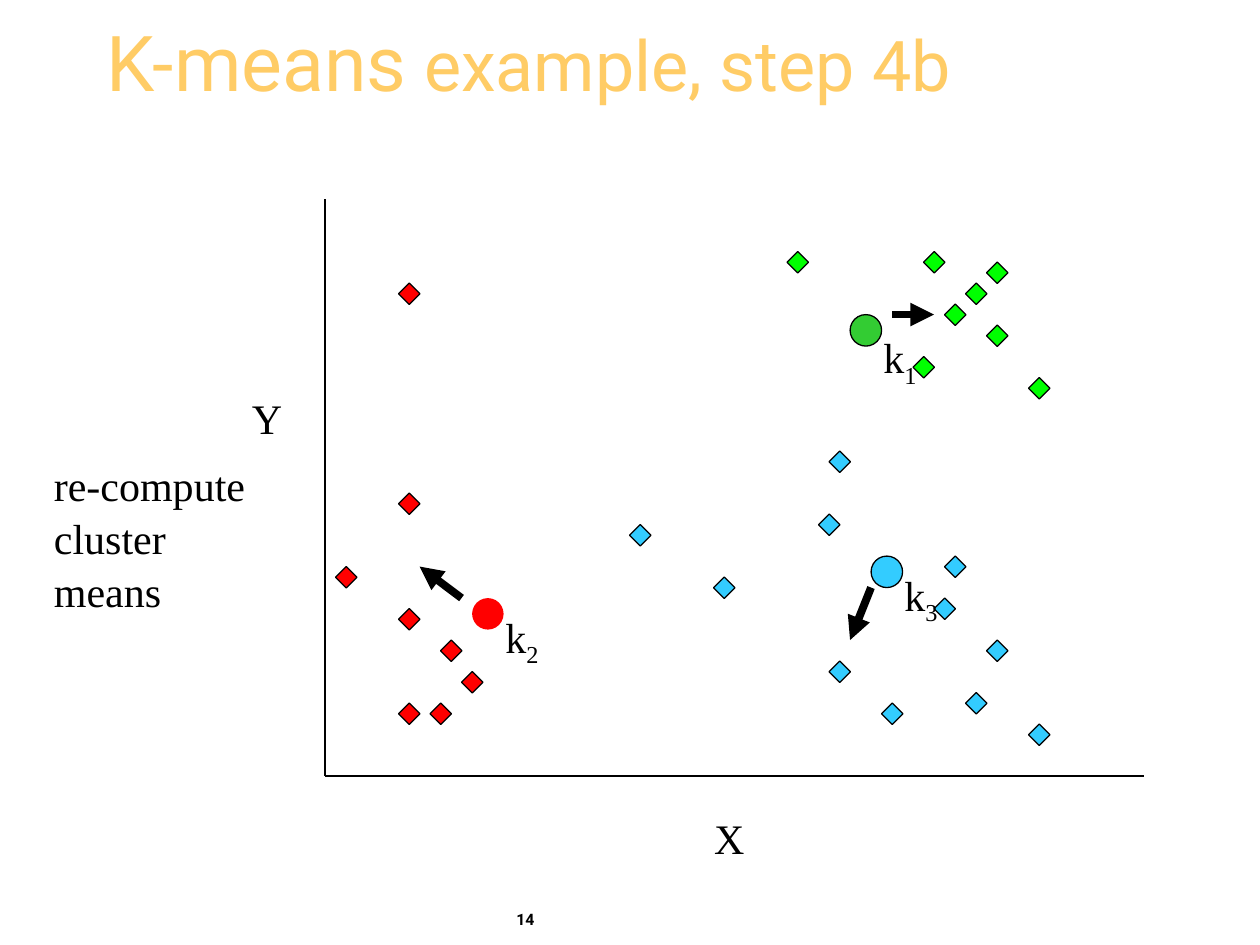
from lxml import etree
from pptx import Presentation
from pptx.dml.color import RGBColor
from pptx.enum import shapes, text
from pptx.oxml import ns
from pptx.util import Inches, Pt

COLORS = {
    "title": "FFCC66", "ink": "000000", "red": "FF0000",
    "lime": "00FF00", "green": "33CC33", "blue": "33CCFF",
}
SERIF, SANS = "Times New Roman", "Roboto"
UNIT = Inches(1) / 12

CLUSTERS = [
    dict(name="1", fill="lime", core="green", edge="ink", mean=(50, 11), high=0.56,
         move=((54, 11), (58, 11)),
         dots=[(57, 5), (63, 6), (61, 8), (59, 10),
               (63, 12), (67, 17), (44, 5), (56, 15)]),
    dict(name="2", fill="red", core="red", edge=None, mean=(14, 38), high=0.5,
         move=((13, 38), (9, 35)),
         dots=[(11, 42), (13, 45), (10, 48), (7, 39),
               (7, 8), (7, 28), (7, 48), (1, 35)]),
    dict(name="3", fill="blue", core="blue", edge="ink", mean=(52, 34), high=0.5,
         move=((52, 37), (50, 42)),
         dots=[(29, 31), (48, 24), (48, 44), (53, 48), (58, 38), (47, 30),
               (37, 36), (63, 42), (61, 47), (59, 34), (67, 50)]),
]


def tint(name):
    return RGBColor.from_string(COLORS[name])


def spot(box, cell):
    return [round(start + step * UNIT) for start, step in zip(box, cell)]


def add_text(slide, box, runs, size, face=SERIF, color="ink",
             anchor=text.MSO_ANCHOR.TOP, wrap=True):
    frame = slide.shapes.add_textbox(*box).text_frame
    frame.word_wrap = wrap
    frame.vertical_anchor = anchor
    para = frame.paragraphs[0]
    para.font.name = face
    para.font.size = Pt(size)
    para.font.color.rgb = tint(color)
    for words in runs:
        para.add_run().text = words
    return para


def add_mark(slide, kind, at, size, fill, edge):
    mark = slide.shapes.add_shape(kind, *at, size, size)
    mark.shadow.inherit = False
    mark.fill.solid()
    mark.fill.fore_color.rgb = tint(fill)
    if edge:
        mark.line.color.rgb = tint(edge)
        mark.line.width = Pt(0.75)
    else:
        mark.line.fill.background()


def add_line(slide, start, end, width, arrow=False):
    line = slide.shapes.add_connector(
        shapes.MSO_CONNECTOR.STRAIGHT, *start, *end)
    line.line.color.rgb = tint("ink")
    line.line.width = Pt(width)
    if arrow:
        tail = etree.SubElement(line.line._get_or_add_ln(), ns.qn("a:tailEnd"))
        tail.set("type", "triangle")
    etree.SubElement(line._element.spPr, ns.qn("a:effectLst"))


def add_title(slide, box):
    para = add_text(slide, box, ["K-means", " example, step 4b"], 40,
                    SANS, "title", text.MSO_ANCHOR.MIDDLE)
    para.line_spacing = 0.85
    para.runs[0].font.size = Pt(44)


def add_axes(slide, box):
    left, top, width, height = box
    base = top + height
    add_line(slide, (left, top), (left, base), 0.75)
    add_line(slide, (left, base), (left + width, base), 0.75)
    for name, right, down in [("X", 2.99, 4.8), ("Y", -0.68, 1.47)]:
        area = (left + Inches(right), top + Inches(down),
                Inches(0.44), Inches(0.5))
        add_text(slide, area, [name], 24, wrap=False).line_spacing = 1.05


def add_cluster(slide, box, group):
    for dot in group["dots"]:
        add_mark(slide, shapes.MSO_SHAPE.DIAMOND, spot(box, dot),
                 Inches(0.17), group["fill"], "ink")
    start, end = group["move"]
    add_line(slide, spot(box, start), spot(box, end), 4.5, arrow=True)
    core = spot(box, group["mean"])
    add_mark(slide, shapes.MSO_SHAPE.OVAL, core, Inches(0.25),
             group["core"], group["edge"])
    area = (*spot(core, (2, 1)), Inches(0.58), Inches(group["high"]))
    para = add_text(slide, area, ["k", group["name"]], 24,
                    anchor=text.MSO_ANCHOR.MIDDLE)
    para.runs[1].font._element.set("baseline", "-25000")


def add_plot(slide, box):
    for group in CLUSTERS:
        add_cluster(slide, box, group)
    add_axes(slide, box)


def add_note(slide, box):
    para = add_text(slide, box, ["re-compute cluster means"], 24)
    para.line_spacing = 1.05


def add_number(slide, box):
    add_text(slide, box, ["14"], 9, SANS).font.bold = True


def main():
    deck = Presentation()
    deck.slide_width, deck.slide_height = Inches(10), Inches(7.5)
    slide = deck.slides.add_slide(deck.slide_layouts[6])
    parts = [
        (add_number, (4, 7.17, 1.02, 0.33)),
        (add_title, (0.75, 0.25, 8.92, 0.58)),
        (add_plot, (2.58, 1.58, 6.5, 4.58)),
        (add_note, (0.33, 3.58, 2, 1.3)),
    ]
    for draw, box in parts:
        draw(slide, [Inches(side) for side in box])
    deck.save("out.pptx")


if __name__ == "__main__":
    main()
